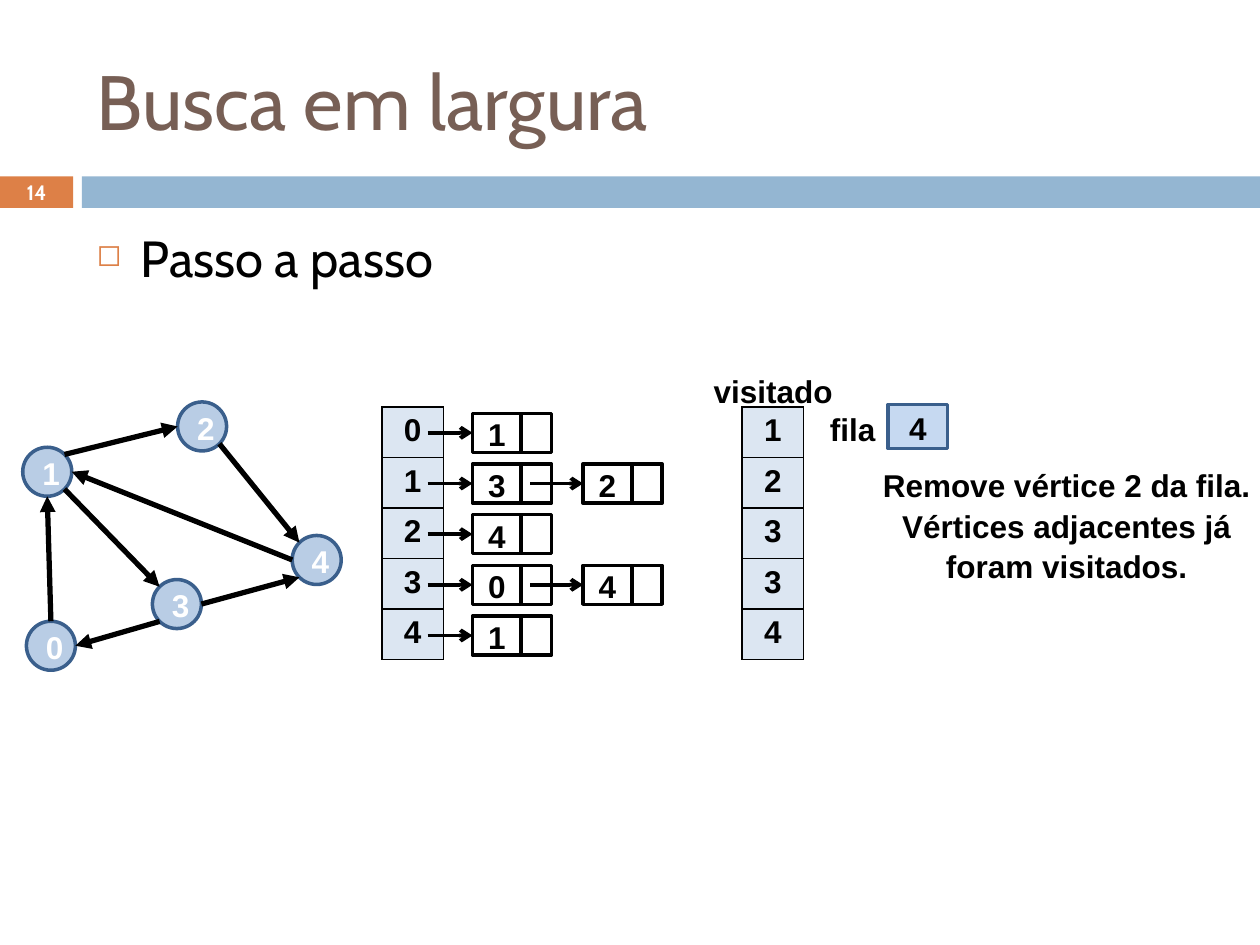
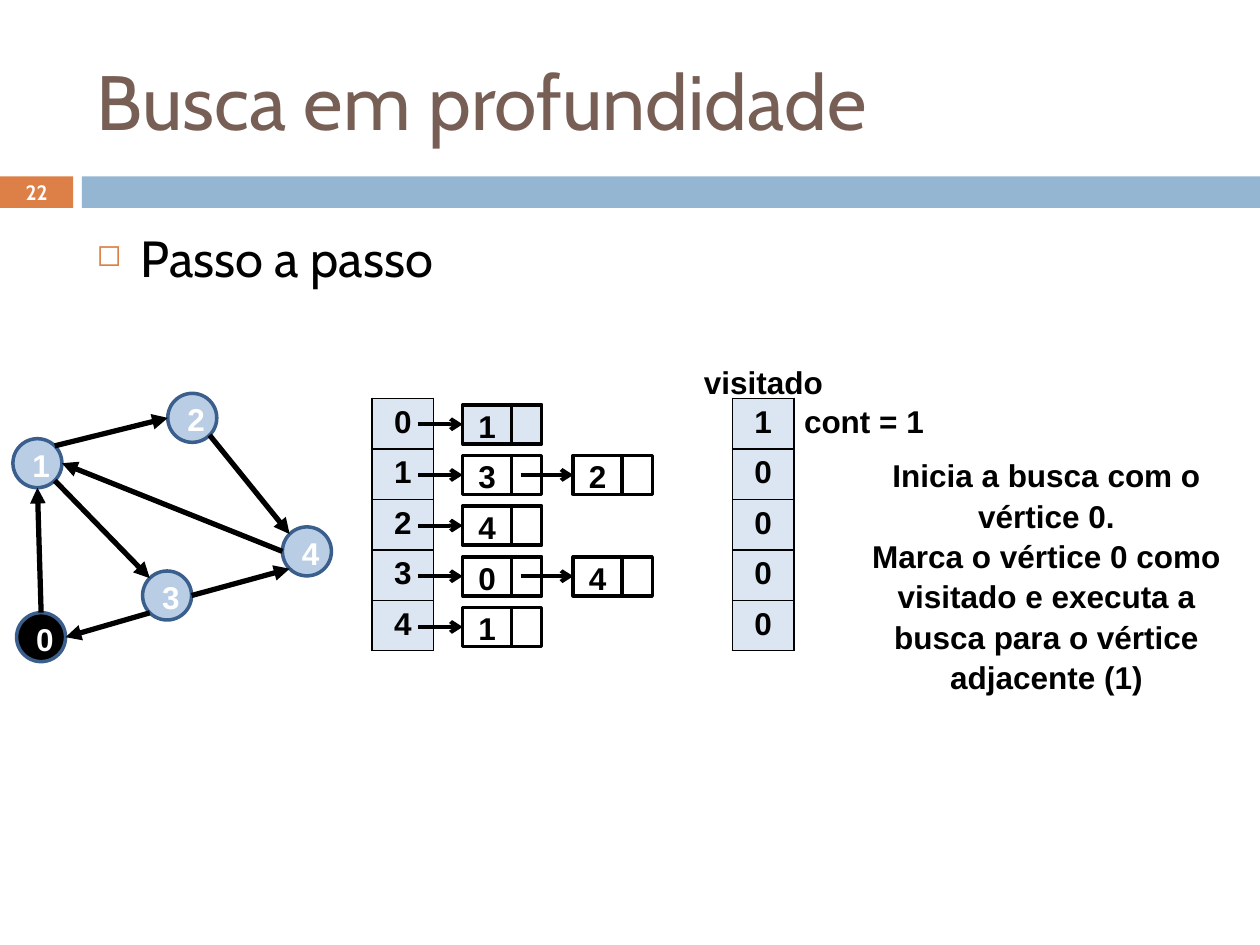
import math
from lxml import etree
from pptx import Presentation
from pptx import util as u
from pptx.dml.color import RGBColor
from pptx.enum import shapes, text
from pptx.oxml import ns

COLOURS = {
    "title": "775F55", "orange": "DD8047", "band": "94B6D2",
    "node": "B9CDE5", "outline": "3A5F8C", "cell": "DCE6F2",
    "queue": "C6D9F1", "black": "000000", "white": "FFFFFF",
}
NODE_SIZE = 28
NODES = {"1": (13, 255.6), "4": (167, 306), "2": (101.5, 229.7),
         "3": (87.1, 331.2), "0": (15.1, 355)}
EDGES = [("2", 45, "4", 225), ("1", -45, "2", 180), ("3", 0, "4", 135),
         ("1", 45, "3", 225), ("0", -90, "1", 90), ("3", 135, "0", 0),
         ("4", 180, "1", 0)]
NEIGHBOURS = ["1", "32", "4", "04", "1"]


def colour(name):
    return RGBColor.from_string(COLOURS[name])


def add_child(parent, tag, **attributes):
    return etree.SubElement(parent, ns.qn(tag), attributes)


def write(frame, content, size=18, font="Arial", tint="black", bold=True,
          align="CENTER", anchor="TOP", spacing=1.07):
    frame.word_wrap = True
    frame.vertical_anchor = getattr(text.MSO_ANCHOR, anchor)
    frame.text = content
    for paragraph in frame.paragraphs:
        paragraph.alignment = getattr(text.PP_ALIGN, align)
        paragraph.line_spacing = spacing
        for run in paragraph.runs:
            run.font.size = u.Pt(size)
            run.font.name = font
            run.font.bold = bold
            run.font.color.rgb = colour(tint)


class Board:
    def __init__(self, presentation):
        self.presentation = presentation
        self.slide = None

    def start(self, title, number):
        layout = self.presentation.slide_layouts[5]
        self.slide = self.presentation.slides.add_slide(layout)
        self.shape(0, 100.8, 41.8, 18, "orange")
        self.shape(46.8, 100.8, 673.2, 18, "band")
        heading = self.slide.shapes.title
        heading.left, heading.top = u.Pt(48.2), u.Pt(18)
        heading.width, heading.height = u.Pt(642.2), u.Pt(77.8)
        write(heading.text_frame, title, size=44, font="Cabin", tint="title",
              bold=False, align="LEFT", anchor="MIDDLE", spacing=1)
        self.label(number, 0, 100.1, 41.8, 19.4, size=11.9, font="Cabin",
                   tint="white", anchor="MIDDLE", spacing=1)

    def label(self, content, left, top, width, height, **style):
        box = self.slide.shapes.add_textbox(
            u.Pt(left), u.Pt(top), u.Pt(width), u.Pt(height))
        write(box.text_frame, content, **style)
        return box

    def bullet(self, content):
        box = self.label(content, 48.2, 126, 642.2, 354.2, size=29,
                         font="Cabin", bold=False, align="LEFT", spacing=1)
        properties = box.text_frame.paragraphs[0]._p.get_or_add_pPr()
        properties.set("marL", str(u.Pt(25.2)))
        properties.set("indent", str(u.Pt(-25.2)))
        tint = add_child(properties, "a:buClr")
        add_child(tint, "a:srgbClr", val=COLOURS["orange"])
        add_child(properties, "a:buSzPct", val="60000")
        add_child(properties, "a:buChar", char="◻")

    def shape(self, left, top, width, height, fill, line=None, content="",
              tint="black", kind="RECTANGLE"):
        shape = self.slide.shapes.add_shape(
            getattr(shapes.MSO_SHAPE, kind),
            u.Pt(left), u.Pt(top), u.Pt(width), u.Pt(height))
        shape.shadow.inherit = False
        shape.fill.solid()
        shape.fill.fore_color.rgb = colour(fill)
        if line:
            shape.line.color.rgb = colour(line)
            shape.line.width = u.Pt(2)
        else:
            shape.line.fill.background()
        if content:
            write(shape.text_frame, content, tint=tint, anchor="MIDDLE")
        return shape

    def arrow(self, start, end, width, head, target=None):
        connector = self.slide.shapes.add_connector(
            shapes.MSO_CONNECTOR.STRAIGHT,
            *(u.Pt(value) for value in (*start, *end)))
        connector.line.color.rgb = colour("black")
        connector.line.width = u.Pt(width)
        properties = connector._element.spPr
        add_child(properties.find(ns.qn("a:ln")), "a:tailEnd", type=head)
        add_child(properties, "a:effectLst")
        if target is not None:
            connector.end_connect(target, 1)

    def column(self, values, left, top):
        row_height = 26.64
        table = self.slide.shapes.add_table(
            len(values), 1, u.Pt(left), u.Pt(top), u.Pt(35.2),
            u.Pt(row_height * len(values))).table
        table.first_row = table.horz_banding = False
        for row, value in enumerate(values):
            table.rows[row].height = u.Pt(row_height)
            cell = table.cell(row, 0)
            write(cell.text_frame, value, spacing=1)
            properties = cell._tc.get_or_add_tcPr()
            for side in ("L", "R", "T", "B"):
                border = add_child(properties, f"a:ln{side}", w=str(u.Pt(1)))
                fill = add_child(border, "a:solidFill")
                add_child(fill, "a:srgbClr", val=COLOURS["black"])
            cell.fill.solid()
            cell.fill.fore_color.rgb = colour("cell")

    def graph(self, x, y, visiting):
        radius = NODE_SIZE / 2
        for name, (left, top) in NODES.items():
            self.shape(x + left, y + top, NODE_SIZE, NODE_SIZE,
                       "black" if name == visiting else "node", "outline",
                       name, "white", "OVAL")

        def rim(name, degrees):
            left, top = NODES[name]
            angle = math.radians(degrees)
            return (x + left + radius * (1 + math.cos(angle)),
                    y + top + radius * (1 + math.sin(angle)))

        for source, leave, target, arrive in EDGES:
            self.arrow(rim(source, leave), rim(target, arrive), 3, "triangle")

    def adjacency(self, x, y, active_row):
        height = 22.3
        self.column("01234", x + 218.2, y + 232.6)
        for row, neighbours in enumerate(NEIGHBOURS):
            top = y + 236.2 + 28.95 * row
            fill = "cell" if row == active_row else "white"
            for position, vertex in enumerate(neighbours):
                left = x + 270 + 63.2 * position
                value = self.shape(left, top, 27.9, height, fill, "black", vertex)
                self.shape(left + 27.9, top, 17.3, height, fill, "black")
                middle = top + height / 2
                reach = 30.1 if position else 25.6
                self.arrow((left - reach, middle), (left, middle), 2.25,
                           "arrow", value)

    def search(self, title, number, visited, x=0, y=0, visiting=None,
               active_row=None):
        self.start(title, number)
        self.bullet("Passo a passo")
        self.graph(x, y, visiting)
        self.adjacency(x, y, active_row)
        self.column(visited, x + 424.1, y + 232.6)
        self.label("visitado", x + 393.8, y + 207.4, 96, 28.8)


def main():
    presentation = Presentation()
    presentation.slide_width, presentation.slide_height = u.Pt(720), u.Pt(540)
    board = Board(presentation)

    board.search("Busca em largura", "14", "12334")
    board.label("Remove vértice 2 da fila.\n"
                "Vértices adjacentes já foram visitados.",
                496.1, 261.4, 226.8, 72.7)
    board.shape(507.6, 231.1, 33.8, 25.2, "queue", "outline", "4")
    board.label("fila", 439.2, 229, 96, 28.8)

    board.search("Busca em profundidade", "22", "10000", x=-5.6, y=-4.9,
                 visiting="0", active_row=0)
    board.label("Inicia a busca com o vértice 0.\n"
                "Marca o vértice 0 como visitado e executa a busca "
                "para o vértice adjacente (1)",
                478.8, 255.6, 238.3, 138.2)
    board.label("cont = 1", 445.7, 224.6, 96, 28.8)

    presentation.save("out.pptx")


if __name__ == "__main__":
    main()
